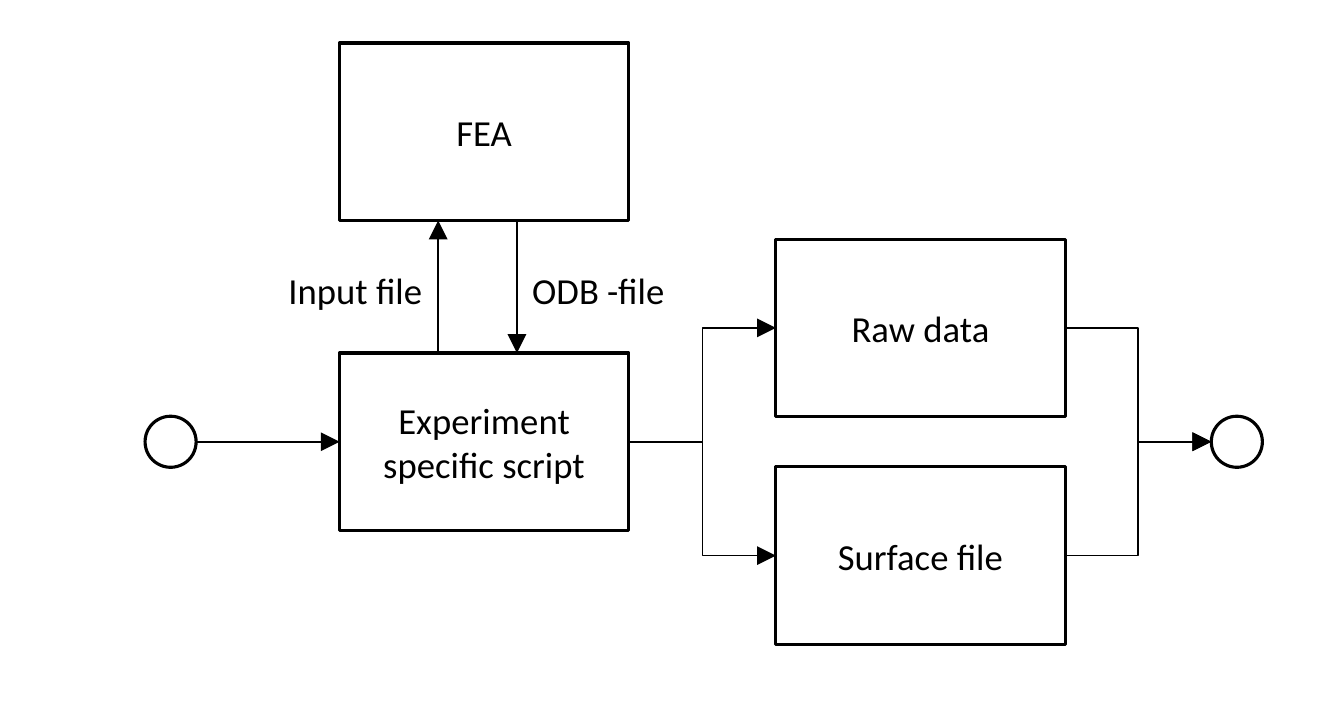
"""Builds a flow diagram of a finite element experiment and its result files."""
from lxml.etree import SubElement
from pptx import Presentation
from pptx.dml.color import RGBColor
from pptx.enum.shapes import MSO_CONNECTOR as Connector, MSO_SHAPE as Preset
from pptx.enum.text import MSO_ANCHOR as Anchor, MSO_AUTO_SIZE as AutoSize, PP_ALIGN as Align
from pptx.oxml.ns import qn
from pptx.util import Cm, Pt

BOX_WIDTH, BOX_HEIGHT, CIRCLE_SIZE = 3.23, 1.98, 0.57
LEFT_COLUMN, RIGHT_COLUMN, FLOW_Y = 3.79, 8.66, 4.93
FEA_TOP, SCRIPT_TOP = 0.48, FLOW_Y - BOX_HEIGHT / 2
RESULT_OFFSET = 1.27
RIGHT_SITE = {Preset.RECTANGLE: 3, Preset.OVAL: 6}
LEFT_SITE = {Preset.RECTANGLE: 1, Preset.OVAL: 2}


def color(value):
    return RGBColor.from_string(value)


class Diagram:
    ink, paper = "000000", "FFFFFF"
    font_name, font_size = "Calibri", 11.6
    outline_width, arrow_width = 1, 0.5

    def __init__(self, slide):
        self.slide = slide

    def set_text(self, shape, text, align):
        shape.text_frame.text = text
        for paragraph in shape.text_frame.paragraphs:
            paragraph.alignment = align
            for run in paragraph.runs:
                run.font.name = self.font_name
                run.font.size = Pt(self.font_size)
                run.font.color.rgb = color(self.ink)

    def node(self, preset, left, top, width, height):
        shape = self.slide.shapes.add_shape(preset, Cm(left), Cm(top), Cm(width), Cm(height))
        shape.shadow.inherit = False
        shape.fill.solid()
        shape.fill.fore_color.rgb = color(self.paper)
        shape.line.color.rgb = color(self.ink)
        shape.line.width = Pt(self.outline_width)
        return shape

    def box(self, text, left, top):
        shape = self.node(Preset.RECTANGLE, left, top, BOX_WIDTH, BOX_HEIGHT)
        shape.text_frame.vertical_anchor = Anchor.MIDDLE
        self.set_text(shape, text, Align.CENTER)
        return shape

    def circle(self, left):
        return self.node(Preset.OVAL, left, FLOW_Y - CIRCLE_SIZE / 2, CIRCLE_SIZE, CIRCLE_SIZE)

    def label(self, text, left, top):
        shape = self.slide.shapes.add_textbox(Cm(left), Cm(top), Cm(2), Cm(0.76))
        shape.text_frame.word_wrap = False
        shape.text_frame.auto_size = AutoSize.SHAPE_TO_FIT_TEXT
        self.set_text(shape, text, Align.LEFT)

    def arrow(self, kind, start, end):
        connector = self.slide.shapes.add_connector(kind, *start, *end)
        connector.line.color.rgb = color(self.ink)
        connector.line.width = Pt(self.arrow_width)
        properties = connector._element.spPr
        SubElement(properties.get_or_add_ln(), qn("a:tailEnd"), type="triangle")
        SubElement(properties, qn("a:effectLst"))
        return connector

    def vertical_arrow(self, x, start_y, end_y):
        self.arrow(Connector.STRAIGHT, (Cm(x), Cm(start_y)), (Cm(x), Cm(end_y)))

    def link(self, source, target, kind=Connector.ELBOW):
        start = source.left + source.width, source.top + source.height // 2
        end = target.left, target.top + target.height // 2
        connector = self.arrow(kind, start, end)
        glue = connector._element.nvCxnSpPr.cNvCxnSpPr
        for tag, shape, sites in (("a:stCxn", source, RIGHT_SITE), ("a:endCxn", target, LEFT_SITE)):
            site = sites[shape.auto_shape_type]
            SubElement(glue, qn(tag), id=str(shape.shape_id), idx=str(site))


presentation = Presentation()
presentation.slide_width, presentation.slide_height = Cm(15), Cm(8)
diagram = Diagram(presentation.slides.add_slide(presentation.slide_layouts[6]))

start_circle = diagram.circle(1.62)
end_circle = diagram.circle(13.52)
diagram.box("FEA", LEFT_COLUMN, FEA_TOP)
script_box = diagram.box("Experiment specific script", LEFT_COLUMN, SCRIPT_TOP)

fea_bottom = FEA_TOP + BOX_HEIGHT
diagram.vertical_arrow(4.89, SCRIPT_TOP, fea_bottom)
diagram.vertical_arrow(5.77, fea_bottom, SCRIPT_TOP)
diagram.label("Input file", 2.97, 2.87)
diagram.label("ODB -file", 5.69, 2.87)

diagram.link(start_circle, script_box, Connector.STRAIGHT)
for text, offset in (("Raw data", -RESULT_OFFSET), ("Surface file", RESULT_OFFSET)):
    result_box = diagram.box(text, RIGHT_COLUMN, SCRIPT_TOP + offset)
    diagram.link(script_box, result_box)
    diagram.link(result_box, end_circle)

presentation.save("out.pptx")
